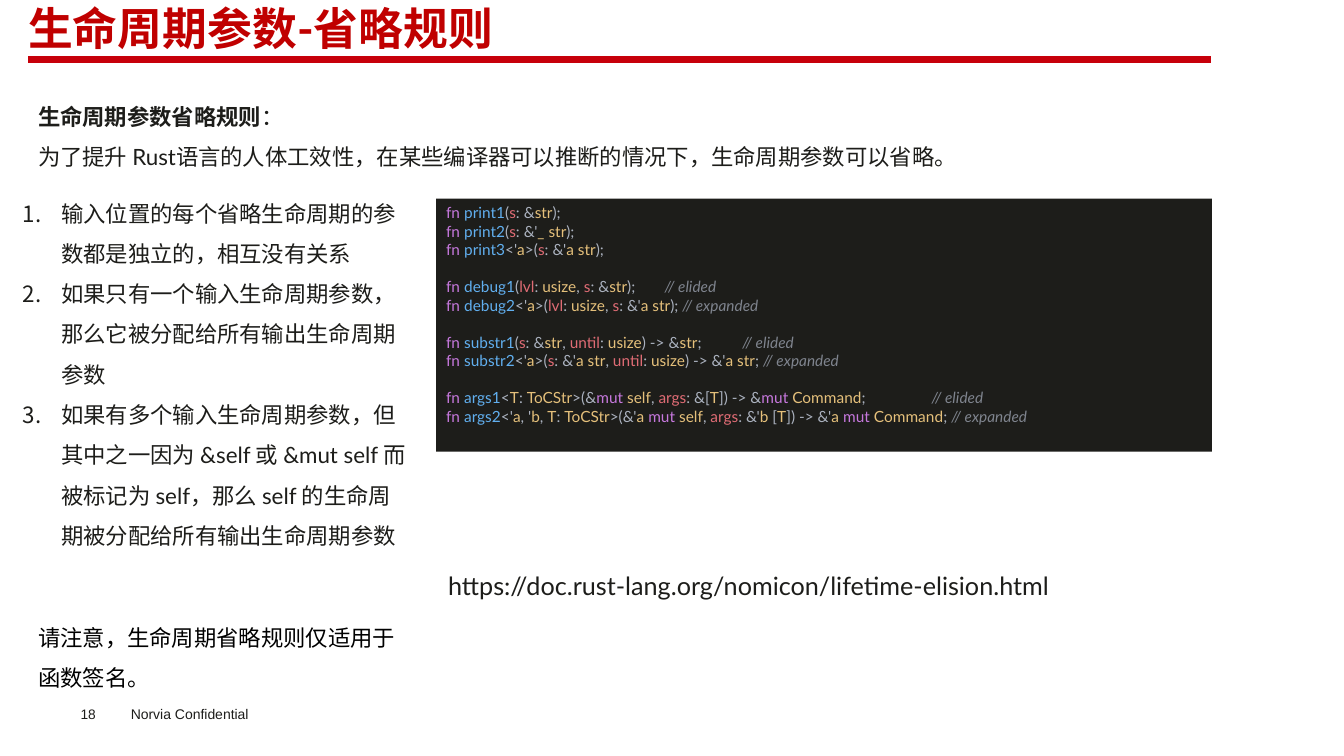
from itertools import groupby

from lxml.etree import SubElement
from pptx import Presentation
from pptx.dml.color import RGBColor
from pptx.enum.shapes import MSO_CONNECTOR, MSO_SHAPE
from pptx.enum.text import MSO_ANCHOR, PP_ALIGN
from pptx.oxml.ns import qn
from pptx.util import Inches, Pt

COLORS = {
    "title": "C00000", "rule": "C7000A", "ink": "1D1D1A", "footer": "1D1D1B",
    "note": "000000", "keyword": "C678DD", "function": "61AFEF",
    "parameter": "E06C75", "type": "E5C07B", "symbol": "ABB2BF",
    "comment": "7F848E",
}
KEYWORDS = {"fn", "mut"}
PARAMETERS = {"s", "lvl", "until", "args"}


def add_span(para, text, size=16, color="ink", font="Lato", bold=False, italic=False):
    span = para.add_run()
    span.text = text
    span.font.name = font
    span.font.size = Pt(size)
    span.font.bold = bold
    span.font.italic = italic
    span.font.color.rgb = RGBColor.from_string(COLORS[color])


def add_box(left, top, width, height, inset=True):
    """Add a wrapping text box and return its text frame."""
    box = page.shapes.add_textbox(Inches(left), Inches(top), Inches(width), Inches(height))
    frame = box.text_frame
    frame.word_wrap = True
    if not inset:
        frame.margin_left = frame.margin_right = frame.margin_top = frame.margin_bottom = 0
    return frame


deck = Presentation()
deck.slide_width, deck.slide_height = Inches(13.34), Inches(7.5)
page = deck.slides.add_slide(deck.slide_layouts[5])

# Title and rule
title = page.shapes.title
title.left, title.top = Inches(0.28), Inches(0.06)
title.width, title.height = Inches(11.75), Inches(1.09)
frame = title.text_frame
frame.margin_left = frame.margin_right = frame.margin_top = frame.margin_bottom = 0
frame.vertical_anchor = MSO_ANCHOR.TOP
para = frame.paragraphs[0]
para.alignment = PP_ALIGN.LEFT
para.line_spacing = Pt(34.3)
add_span(para, "生命周期参数-省略规则", size=32, color="title", bold=True)

rule = page.shapes.add_connector(
    MSO_CONNECTOR.STRAIGHT, Inches(0.28), Inches(0.59), Inches(12.02), Inches(0.59))
rule.line.color.rgb = RGBColor.from_string(COLORS["rule"])
rule.line.width = Pt(4.5)
SubElement(rule.element.spPr, qn("a:effectLst"))

# Introduction
frame = add_box(0.28, 0.84, 10.84, 0.86)
para = frame.paragraphs[0]
para.line_spacing = 1.5
add_span(para, "生命周期参数省略规则", bold=True)
add_span(para, "：")
para = frame.add_paragraph()
para.line_spacing = 1.5
add_span(para, "为了提升 Rust语言的人体工效性，在某些编译器可以推断的情况下，生命周期参数可以省略。")

# Numbered elision rules
elision_rules = [
    "输入位置的每个省略生命周期的参数都是独立的，相互没有关系",
    "如果只有一个输入生命周期参数，那么它被分配给所有输出生命周期参数",
    "如果有多个输入生命周期参数，但其中之一因为 &self 或 &mut self 而被标记为 self，"
    "那么 self 的生命周期被分配给所有输出生命周期参数",
]
frame = add_box(0.13, 1.8, 4.03, 4.14)
for index, text in enumerate(elision_rules):
    para = frame.add_paragraph() if index else frame.paragraphs[0]
    props = para._p.get_or_add_pPr()
    props.set("marL", str(Inches(0.38)))
    props.set("indent", str(-Inches(0.38)))
    SubElement(props, qn("a:buFont"), typeface="+mj-lt")
    SubElement(props, qn("a:buAutoNum"), type="arabicPeriod")
    para.line_spacing = 1.5
    add_span(para, text)

para = add_box(0.28, 6.01, 3.88, 0.86).paragraphs[0]
para.line_spacing = 1.5
add_span(para, "请注意，生命周期省略规则仅适用于函数签名。", color="note")

# Code panel: each group has the tab position of its first comment
code_groups = [
    (0, ["fn print1(s: &str);", "fn print2(s: &'_ str);", "fn print3<'a>(s: &'a str);"]),
    (2.17, ["fn debug1(lvl: usize, s: &str);\t// elided",
            "fn debug2<'a>(lvl: usize, s: &'a str); // expanded"]),
    (2.94, ["fn substr1(s: &str, until: usize) -> &str;\t// elided",
            "fn substr2<'a>(s: &'a str, until: usize) -> &'a str; // expanded"]),
    (4.82, ["fn args1<T: ToCStr>(&mut self, args: &[T]) -> &mut Command;\t// elided",
            "fn args2<'a, 'b, T: ToCStr>(&'a mut self, args: &'b [T]) -> &'a mut Command;"
            " // expanded"]),
]
panel = page.shapes.add_shape(
    MSO_SHAPE.RECTANGLE, Inches(4.33), Inches(1.97), Inches(7.7), Inches(2.51))
panel.shadow.inherit = False
panel.fill.solid()
panel.fill.fore_color.rgb = RGBColor.from_string(COLORS["ink"])
panel.line.fill.background()
frame = panel.text_frame
frame.word_wrap = True
frame.vertical_anchor = MSO_ANCHOR.TOP
para = frame.paragraphs[0]
for group, (tab, lines) in enumerate(code_groups):
    for row, line in enumerate(lines):
        if group or row:
            para = frame.add_paragraph()
        if "\t" in line:
            tabs = SubElement(para._p.get_or_add_pPr(), qn("a:tabLst"))
            SubElement(tabs, qn("a:tab"), pos=str(Inches(tab)), algn="l")
        para.alignment = PP_ALIGN.LEFT
        if group and row == 0:
            para.space_before = Pt(13.2)
        code, slashes, comment = line.partition("//")
        for is_word, chars in groupby(code, lambda char: char.isalnum() or char == "_"):
            token = "".join(chars)
            if not is_word:
                color = "symbol"
            elif token in KEYWORDS:
                color = "keyword"
            elif token in PARAMETERS:
                color = "parameter"
            else:
                color = "function" if token[-1].isdigit() else "type"
            add_span(para, token, size=11, color=color)
        if slashes:
            add_span(para, slashes + comment, size=11, color="comment", italic=True)

# Reference address
para = add_box(4.35, 5.43, 8, 0.53).paragraphs[0]
para.line_spacing = Pt(34.4)
add_span(para, "https://doc.rust-lang.org/nomicon/lifetime-elision.html", size=18)

# Footer
para = add_box(1.2, 6.95, 1.6, 0.27).paragraphs[0]
add_span(para, "Norvia Confidential", size=10, color="footer", font="Arial")
para = add_box(0.8, 7, 0.55, 0.16, inset=False).paragraphs[0]
add_span(para, "18", size=9.8, color="footer", font="Arial")

deck.save("out.pptx")
